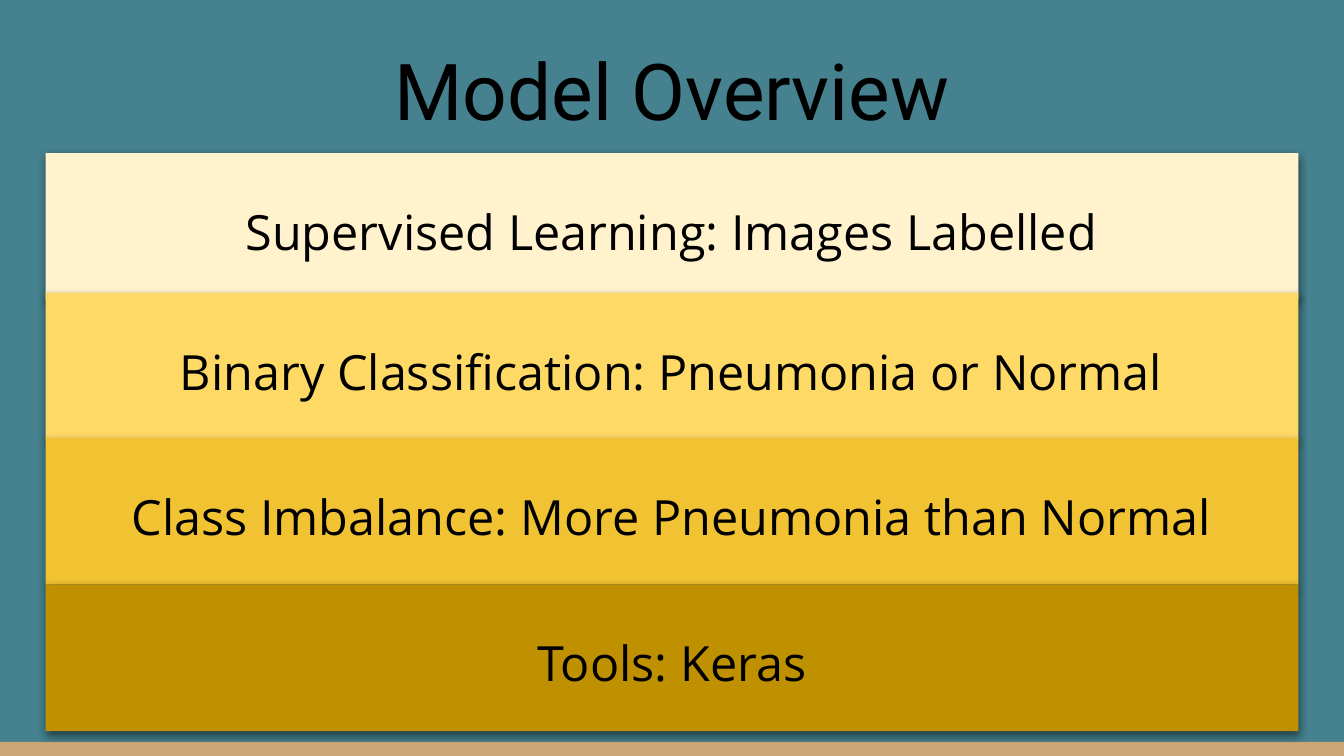
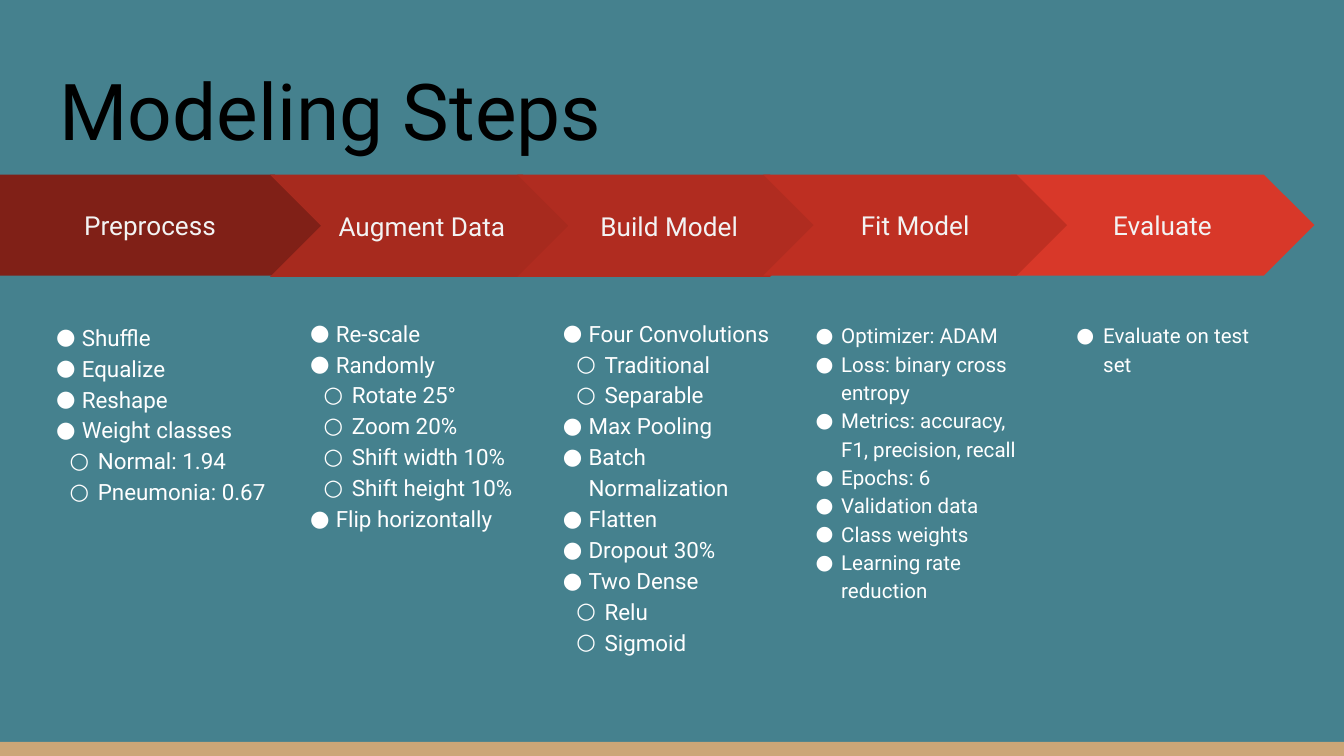
from lxml.etree import SubElement
from pptx import Presentation
from pptx.dml.color import RGBColor
from pptx.enum.shapes import MSO_SHAPE
from pptx.enum.text import MSO_ANCHOR, MSO_AUTO_SIZE, PP_ALIGN
from pptx.oxml.ns import qn
from pptx.util import Inches, Pt

BACKGROUND, STRIP = "45818E", "CCA677"
BLACK, WHITE, PALE_GREY = "000000", "FFFFFF", "F3F3F3"
HEADING_FONT, BAND_FONT = "Roboto", "Open Sans"
SLIDE_WIDTH = 10
SLIDE_HEIGHT = SLIDE_WIDTH * 9 / 16
STRIP_TOP = 5.52
MARGIN = 0.34
CONTENT_WIDTH = SLIDE_WIDTH - 2 * MARGIN

# Band top, fill, text
BAND_HEIGHT = 1.09
BANDS = [
    (1.14, "FFF2CC", "Supervised Learning: Images Labelled"),
    (2.18, "FFD966", "Binary Classification: Pneumonia or Normal"),
    (3.26, "F1C232", "Class Imbalance: More Pneumonia than Normal"),
    (4.35, "BF9000", "Tools: Keras"),
]

# Details are (level, text); steps are listed from back to front
ARROW_TOP = 1.3
DETAILS_WIDTH, DETAILS_BOTTOM = 1.78, 4.92
STEPS = [
    dict(name="Preprocess", shape=MSO_SHAPE.PENTAGON, fill="802017",
         arrow=(0, 2.42, 0.75), corner=(0.32, 2.28), size=12, indent=0.19, hanging=0.21,
         details=[(0, "Shuffle"), (0, "Equalize"), (0, "Reshape"), (0, "Weight classes"),
                  (1, "Normal: 1.94"), (1, "Pneumonia: 0.67")]),
    dict(name="Augment Data", shape=MSO_SHAPE.CHEVRON, fill="A72A1E",
         arrow=(2.01, 2.26, 0.76), corner=(2.21, 2.25), size=12, indent=0.19, hanging=0.21,
         details=[(0, "Re-scale"), (0, "Randomly"), (1, "Rotate 25°"), (1, "Zoom 20%"),
                  (1, "Shift width 10%"), (1, "Shift height 10%"), (0, "Flip horizontally")]),
    dict(name="Build Model", shape=MSO_SHAPE.CHEVRON, fill="B02C20",
         arrow=(3.85, 2.26, 0.76), corner=(4.09, 2.25), size=12, indent=0.19, hanging=0.21,
         details=[(0, "Four Convolutions"), (1, "Traditional"), (1, "Separable"),
                  (0, "Max Pooling"), (0, "Batch Normalization"), (0, "Flatten"),
                  (0, "Dropout 30%"), (0, "Two Dense"), (1, "Relu"), (1, "Sigmoid")]),
    dict(name="Evaluate", shape=MSO_SHAPE.CHEVRON, fill="D83829",
         arrow=(7.52, 2.26, 0.75), corner=(7.86, 2.28), size=11, indent=0.25, hanging=0.2,
         details=[(0, "Evaluate on test set")]),
    dict(name="Fit Model", shape=MSO_SHAPE.CHEVRON, fill="BE2F22",
         arrow=(5.68, 2.26, 0.75), corner=(5.97, 2.28), size=11, indent=0.19, hanging=0.2,
         details=[(0, "Optimizer: ADAM"), (0, "Loss: binary cross entropy"),
                  (0, "Metrics: accuracy, F1, precision, recall"), (0, "Epochs: 6"),
                  (0, "Validation data"), (0, "Class weights"), (0, "Learning rate reduction")]),
]
BULLETS = "●○"
SUBLEVEL_INDENT = 0.12


def color(hex_string):
    return RGBColor.from_string(hex_string)


def add_run(paragraph, text, size, font, hex_string):
    run = paragraph.add_run()
    run.text = text
    run.font.size = Pt(size)
    run.font.name = font
    run.font.color.rgb = color(hex_string)


def prepare_frame(shape, anchor):
    """Set wrapping, insets and anchor, and return the text frame."""
    frame = shape.text_frame
    frame.word_wrap = True
    frame.auto_size = MSO_AUTO_SIZE.NONE
    frame.vertical_anchor = anchor
    frame.margin_left = frame.margin_right = Inches(0.1)
    frame.margin_top = frame.margin_bottom = Inches(0.1)
    return frame


def add_filled_shape(shapes, kind, box, fill):
    shape = shapes.add_shape(kind, *map(Inches, box))
    shape.shadow.inherit = False
    shape.fill.solid()
    shape.fill.fore_color.rgb = color(fill)
    shape.line.fill.background()
    return shape


def add_centred_label(shape, text, size, font, hex_string):
    paragraph = prepare_frame(shape, MSO_ANCHOR.MIDDLE).paragraphs[0]
    paragraph.alignment = PP_ALIGN.CENTER
    add_run(paragraph, text, size, font, hex_string)
    return paragraph


def add_drop_shadow(shape):
    effects = shape._element.spPr.find(qn("a:effectLst"))
    shadow = SubElement(effects, qn("a:outerShdw"), blurRad=str(Pt(4.5)), dist=str(Pt(1.5)),
                        dir="5400000", algn="bl", rotWithShape="0")
    shade = SubElement(shadow, qn("a:srgbClr"), val=BLACK)
    SubElement(shade, qn("a:alpha"), val="50000")


def add_bullet(paragraph, level, indent, hanging):
    paragraph.level = level
    properties = paragraph._p.get_or_add_pPr()
    properties.set("marL", str(Inches(indent + level * SUBLEVEL_INDENT)))
    properties.set("indent", str(-Inches(hanging)))
    bullet_color = SubElement(properties, qn("a:buClr"))
    SubElement(bullet_color, qn("a:srgbClr"), val=WHITE)
    SubElement(properties, qn("a:buFont"), typeface=HEADING_FONT)
    SubElement(properties, qn("a:buChar"), char=BULLETS[level])


def add_titled_slide(presentation, text, top, height, anchor, alignment):
    slide = presentation.slides.add_slide(presentation.slide_layouts[5])
    slide.background.fill.solid()
    slide.background.fill.fore_color.rgb = color(BACKGROUND)
    title = slide.shapes.title
    title.left, title.top = Inches(MARGIN), Inches(top)
    title.width, title.height = Inches(CONTENT_WIDTH), Inches(height)
    paragraph = prepare_frame(title, anchor).paragraphs[0]
    paragraph.alignment = alignment
    add_run(paragraph, text, 42, HEADING_FONT, BLACK)
    return slide


def move_strip_to_master(presentation, slide):
    """Draw the bottom strip on a slide, then hand it to the master so all slides share it."""
    strip = add_filled_shape(slide.shapes, MSO_SHAPE.RECTANGLE,
                             (0, STRIP_TOP, SLIDE_WIDTH, SLIDE_HEIGHT - STRIP_TOP), STRIP)
    presentation.slide_master.shapes._spTree.append(strip._element)


def add_step(slide, step):
    """Group one arrow with the bulleted details below it."""
    shapes = slide.shapes.add_group_shape().shapes
    left, width, height = step["arrow"]
    arrow = add_filled_shape(shapes, step["shape"], (left, ARROW_TOP, width, height), step["fill"])
    add_centred_label(arrow, step["name"], 14, HEADING_FONT, PALE_GREY)

    left, top = step["corner"]
    box = shapes.add_textbox(Inches(left), Inches(top),
                             Inches(DETAILS_WIDTH), Inches(DETAILS_BOTTOM - top))
    frame = prepare_frame(box, MSO_ANCHOR.TOP)
    for index, (level, text) in enumerate(step["details"]):
        paragraph = frame.add_paragraph() if index else frame.paragraphs[0]
        add_bullet(paragraph, level, step["indent"], step["hanging"])
        paragraph.line_spacing = 1.15
        add_run(paragraph, text, step["size"], HEADING_FONT, WHITE)


def build_overview(presentation):
    slide = add_titled_slide(presentation, "Model Overview", 0.19, 0.95,
                             MSO_ANCHOR.MIDDLE, PP_ALIGN.CENTER)
    move_strip_to_master(presentation, slide)
    for top, fill, text in BANDS:
        band = add_filled_shape(slide.shapes, MSO_SHAPE.RECTANGLE,
                                (MARGIN, top, CONTENT_WIDTH, BAND_HEIGHT), fill)
        add_drop_shadow(band)
        paragraph = add_centred_label(band, text, 26, BAND_FONT, BLACK)
        paragraph.line_spacing = 1.15
        paragraph.space_after = Pt(12)


def build_steps(presentation):
    slide = add_titled_slide(presentation, "Modeling Steps", 0.35, 0.91,
                             MSO_ANCHOR.BOTTOM, PP_ALIGN.LEFT)
    for step in STEPS:
        add_step(slide, step)


def main():
    presentation = Presentation()
    presentation.slide_width = Inches(SLIDE_WIDTH)
    presentation.slide_height = Inches(SLIDE_HEIGHT)
    build_overview(presentation)
    build_steps(presentation)
    presentation.save("out.pptx")


if __name__ == "__main__":
    main()
